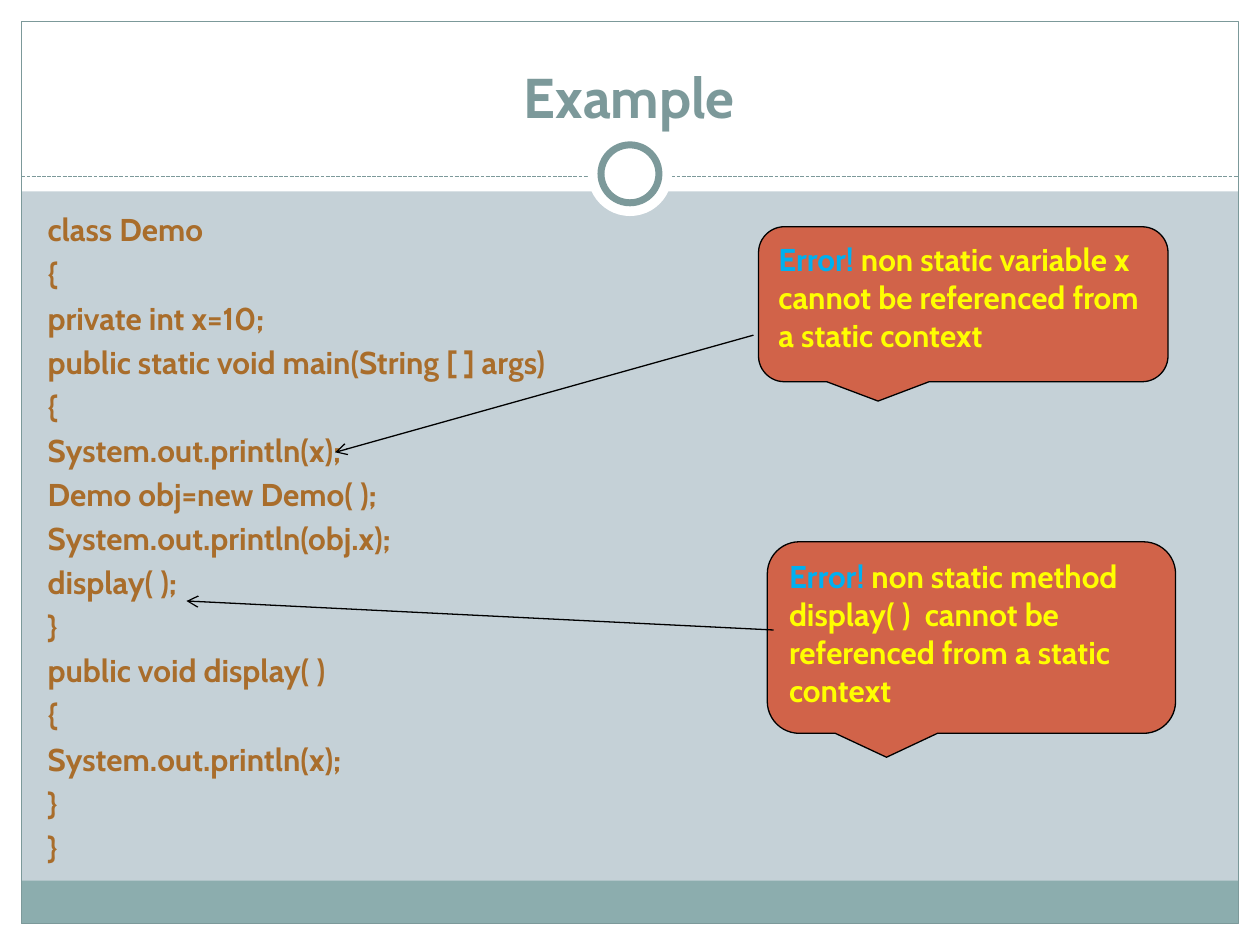
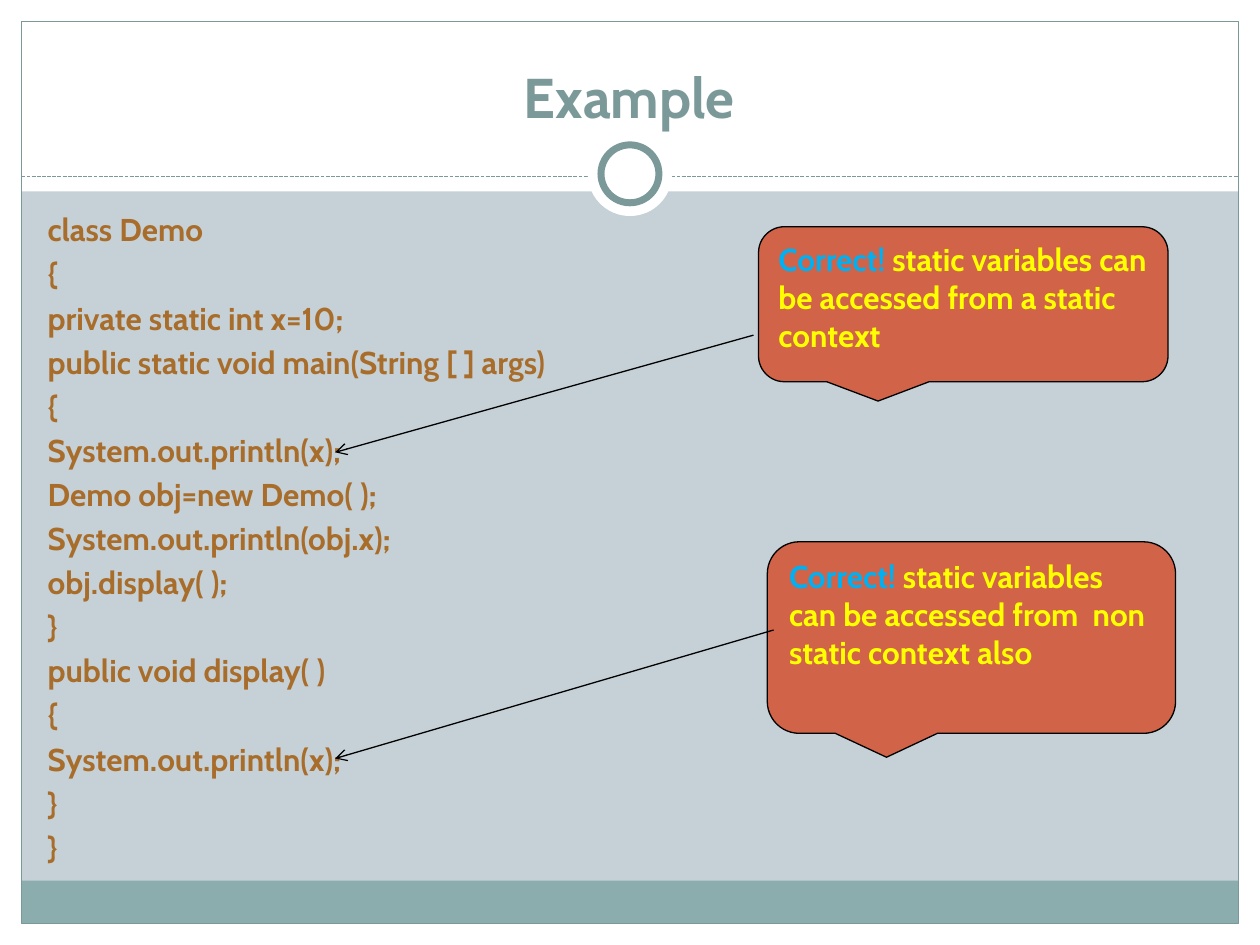
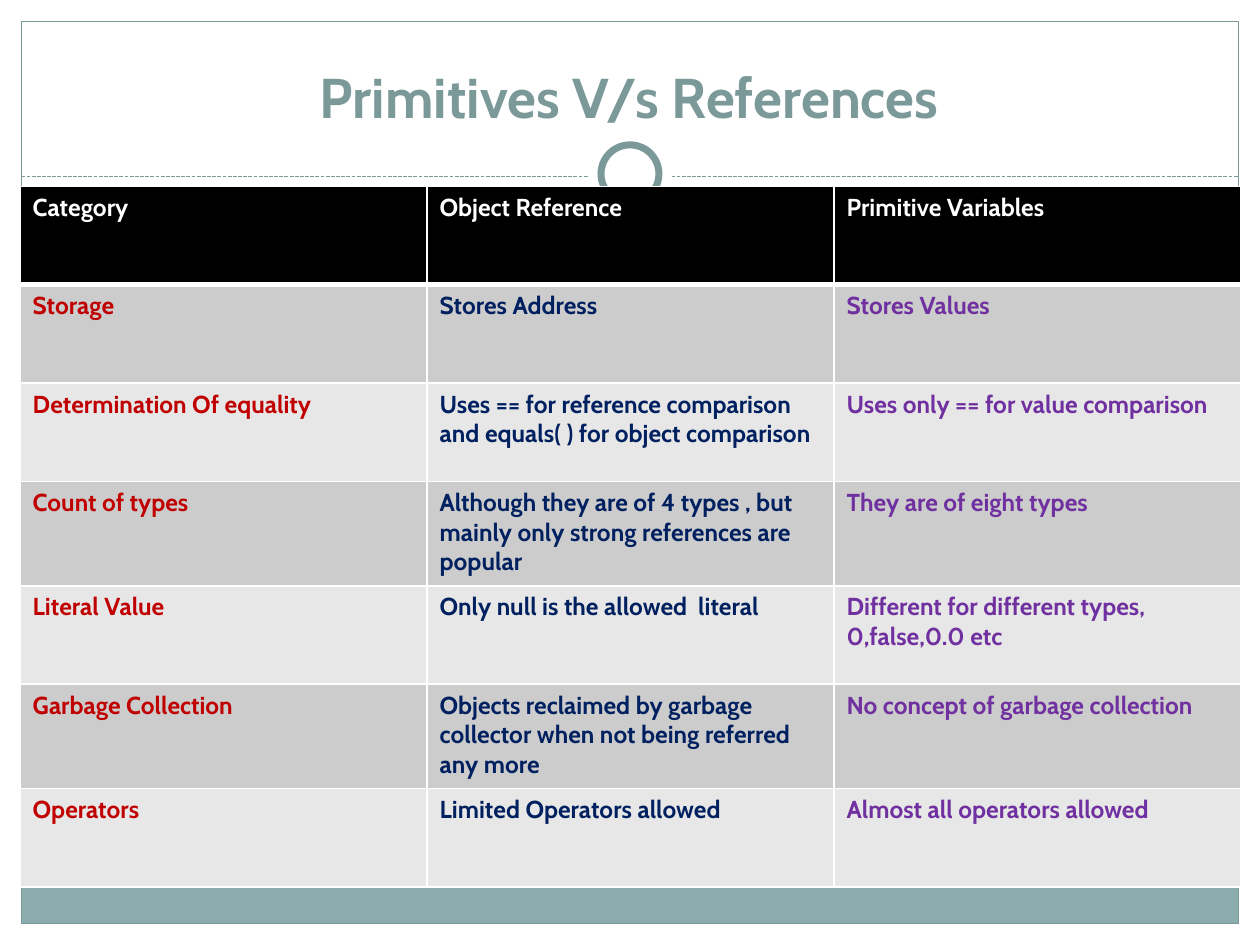
from dataclasses import dataclass

import lxml.etree
import pptx
import pptx.dml.color
import pptx.enum.dml
import pptx.enum.shapes
import pptx.enum.text
import pptx.oxml.ns
import pptx.util

Inches = pptx.util.Inches
Pt = pptx.util.Pt
qn = pptx.oxml.ns.qn
SHAPE = pptx.enum.shapes.MSO_SHAPE
ANCHOR = pptx.enum.text.MSO_ANCHOR
ALIGN = pptx.enum.text.PP_ALIGN


@dataclass(frozen=True)
class Theme:
    font: str = "Cabin"
    title_size: int = 32
    body_size: int = 18
    table_size: int = 14
    background: str = "C5D1D7"
    white: str = "FFFFFF"
    black: str = "000000"
    band: str = "8CADAE"
    accent: str = "7C999A"
    code: str = "A96D2B"
    callout: str = "D16349"
    verdict: str = "00B0F0"
    message: str = "FFFF00"
    columns: tuple = ("C00000", "002060", "7030A0")
    stripes: tuple = ("CCCCCC", "E7E7E7")


THEME = Theme()
WIDTH, HEIGHT, MARGIN = 10, 7.5, 0.17

TABLE_ROWS = [
    ("Category", "Object Reference", "Primitive Variables"),
    ("Storage", "Stores Address", "Stores Values"),
    ("Determination Of equality",
     "Uses == for reference comparison  and equals( ) for object comparison",
     "Uses only == for value comparison"),
    ("Count of types",
     "Although they are of 4 types , but mainly only strong references are popular",
     "They are of eight types"),
    ("Literal Value", "Only null is the allowed  literal",
     "Different for different types, 0,false,0.0 etc"),
    ("Garbage Collection",
     "Objects reclaimed by garbage collector when not being referred any more",
     "No concept of garbage collection"),
    ("Operators", "Limited Operators allowed", "Almost all operators allowed"),
]
ROW_HEIGHTS = (0.78, 0.78, 0.78, 0.83, 0.78, 0.83, 0.78)


def rgb(color):
    return pptx.dml.color.RGBColor.from_string(color)


def inches(box):
    return [Inches(v) for v in box]


def style(font, size, color=None):
    font.name = THEME.font
    font.size = Pt(size)
    font.bold = True
    if color:
        font.color.rgb = rgb(color)


def add_shape(s, kind, box, fill=None, line=None, width=0.75):
    sp = s.shapes.add_shape(kind, *inches(box))
    sp.shadow.inherit = False
    if fill:
        sp.fill.solid()
        sp.fill.fore_color.rgb = rgb(fill)
    else:
        sp.fill.background()
    if line:
        sp.line.color.rgb = rgb(line)
        sp.line.width = Pt(width)
    else:
        sp.line.fill.background()
    return sp


def add_line(s, start, end, color):
    line = s.shapes.add_connector(
        pptx.enum.shapes.MSO_CONNECTOR.STRAIGHT, *inches(start + end))
    line.line.color.rgb = rgb(color)
    line.line.width = Pt(0.75)
    lxml.etree.SubElement(line._element.spPr, qn("a:effectLst"))
    return line


def add_arrow(s, start, end):
    arrow = add_line(s, start, end, THEME.black)
    ln = arrow.line._get_or_add_ln()
    lxml.etree.SubElement(ln, qn("a:tailEnd"), type="arrow")


def add_text(s, box, lines, size, color):
    tf = s.shapes.add_textbox(*inches(box)).text_frame
    tf.word_wrap = True
    tf.text = "\n".join(lines)
    for p in tf.paragraphs:
        style(p.font, size, color)
    return tf


def add_ring(s, x, y):
    for d, line in ((0.67, None), (0.46, THEME.accent)):
        add_shape(s, SHAPE.OVAL, (x - d / 2, y - d / 2, d, d),
                  THEME.white, line, 4)


def add_frame(s):
    inner = WIDTH - 2 * MARGIN
    right, bottom = WIDTH - MARGIN, HEIGHT - MARGIN
    for box in ((0, bottom, WIDTH, MARGIN), (0, 0, WIDTH, 1.52),
                (0, 0, MARGIN, HEIGHT), (right, 0, MARGIN, HEIGHT)):
        add_shape(s, SHAPE.RECTANGLE, box, THEME.white)
    add_shape(s, SHAPE.RECTANGLE, (MARGIN, bottom - 0.34, inner, 0.34), THEME.band)
    add_shape(s, SHAPE.RECTANGLE, (MARGIN, MARGIN, inner, bottom - MARGIN),
              line=THEME.accent)
    rule = add_line(s, (MARGIN, 1.4), (right, 1.4), THEME.accent)
    rule.line.dash_style = pptx.enum.dml.MSO_LINE.SQUARE_DOT
    rule.line._get_or_add_ln().find(qn("a:prstDash")).set("val", "sysDash")
    add_ring(s, WIDTH / 2, 1.38)


def add_title(s, box, title):
    tf = add_text(s, box, [title], THEME.title_size, THEME.accent)
    tf.vertical_anchor = ANCHOR.BOTTOM
    tf.paragraphs[0].alignment = ALIGN.CENTER


def add_code(s, box, lines):
    tf = add_text(s, box, lines, THEME.body_size, THEME.code)
    for p in tf.paragraphs:
        p.space_before = Pt(0.2 * THEME.body_size)


def add_callout(s, box, verdict, message, start, target):
    sp = add_shape(s, SHAPE.ROUNDED_RECTANGULAR_CALLOUT, box,
                   THEME.callout, THEME.black)
    for i, value in enumerate((-0.208, 0.625, 0.167)):
        sp.adjustments[i] = value
    tf = sp.text_frame
    tf.word_wrap = True
    tf.vertical_anchor = ANCHOR.TOP
    p = tf.paragraphs[0]
    p.alignment = ALIGN.LEFT
    style(p.font, THEME.body_size)
    for text, color in ((verdict + " ", THEME.verdict), (message, THEME.message)):
        r = p.add_run()
        r.text = text
        r.font.color.rgb = rgb(color)
    left, top = box[:2]
    add_arrow(s, (left + start[0], top + start[1]), target)


def set_borders(cell, top, bottom):
    tcPr = cell._tc.get_or_add_tcPr()
    edges = (("L", 1), ("R", 1), ("T", top), ("B", bottom))
    for i, (edge, width) in enumerate(edges):
        ln = lxml.etree.Element(qn("a:ln" + edge), w=str(Pt(width)))
        fill = lxml.etree.SubElement(ln, qn("a:solidFill"))
        lxml.etree.SubElement(fill, qn("a:srgbClr"), val=THEME.white)
        tcPr.insert(i, ln)


def add_comparison(s, box, rows, heights):
    table = s.shapes.add_table(len(rows), len(rows[0]), *inches(box)).table
    for col in table.columns:
        col.width = Inches(box[2] / len(rows[0]))
    for i, (texts, height) in enumerate(zip(rows, heights)):
        table.rows[i].height = Inches(height)
        fill = THEME.stripes[(i - 1) % 2] if i else THEME.black
        for j, text in enumerate(texts):
            cell = table.cell(i, j)
            cell.text = text
            cell.fill.solid()
            cell.fill.fore_color.rgb = rgb(fill)
            style(cell.text_frame.paragraphs[0].font, THEME.table_size,
                  THEME.columns[j] if i else THEME.white)
            set_borders(cell, 3 if i == 1 else 1, 1 if i else 3)


def add_slide(prs, title):
    s = prs.slides.add_slide(prs.slide_layouts[6])
    add_frame(s)
    add_title(s, (0.33, 0.25, 9.33, 0.83), title)
    return s


def code_slide(prs, field, call, verdict, messages, lower_target):
    s = add_slide(prs, "Example")
    add_code(s, (0.28, 1.62, 9.53, 5.88), [
        "class Demo", "{", field, "public static void main(String [ ] args)",
        "{", "System.out.println(x);", "Demo obj=new Demo( );",
        "System.out.println(obj.x);", call, "}", "public void display( )",
        "{", "System.out.println(x);", "}", "}"])
    upper, lower = messages
    add_callout(s, (6.02, 1.8, 3.25, 1.23), verdict, upper,
                (-0.04, 0.86), (2.66, 3.59))
    add_callout(s, (6.09, 4.3, 3.24, 1.52), verdict, lower,
                (0.05, 0.7), lower_target)


def table_slide(prs):
    s = add_slide(prs, "Primitives V/s References")
    add_comparison(s, (0.16, 1.48, 9.69, sum(ROW_HEIGHTS)), TABLE_ROWS, ROW_HEIGHTS)


def main():
    prs = pptx.Presentation()
    prs.slide_width, prs.slide_height = Inches(WIDTH), Inches(HEIGHT)
    background = prs.slide_master.background.fill
    background.solid()
    background.fore_color.rgb = rgb(THEME.background)
    code_slide(prs, "private int x=10;", "display( );", "Error!",
               ("non static variable x cannot be referenced from a static context",
                "non static method display( )  cannot be referenced from a static context"),
               (1.48, 4.77))
    code_slide(prs, "private static int x=10;", "obj.display( );", "Correct!",
               ("static variables can be accessed from a static context",
                "static variables can be accessed from  non static context also"),
               (2.66, 6.02))
    table_slide(prs)
    prs.save("out.pptx")


if __name__ == "__main__":
    main()
